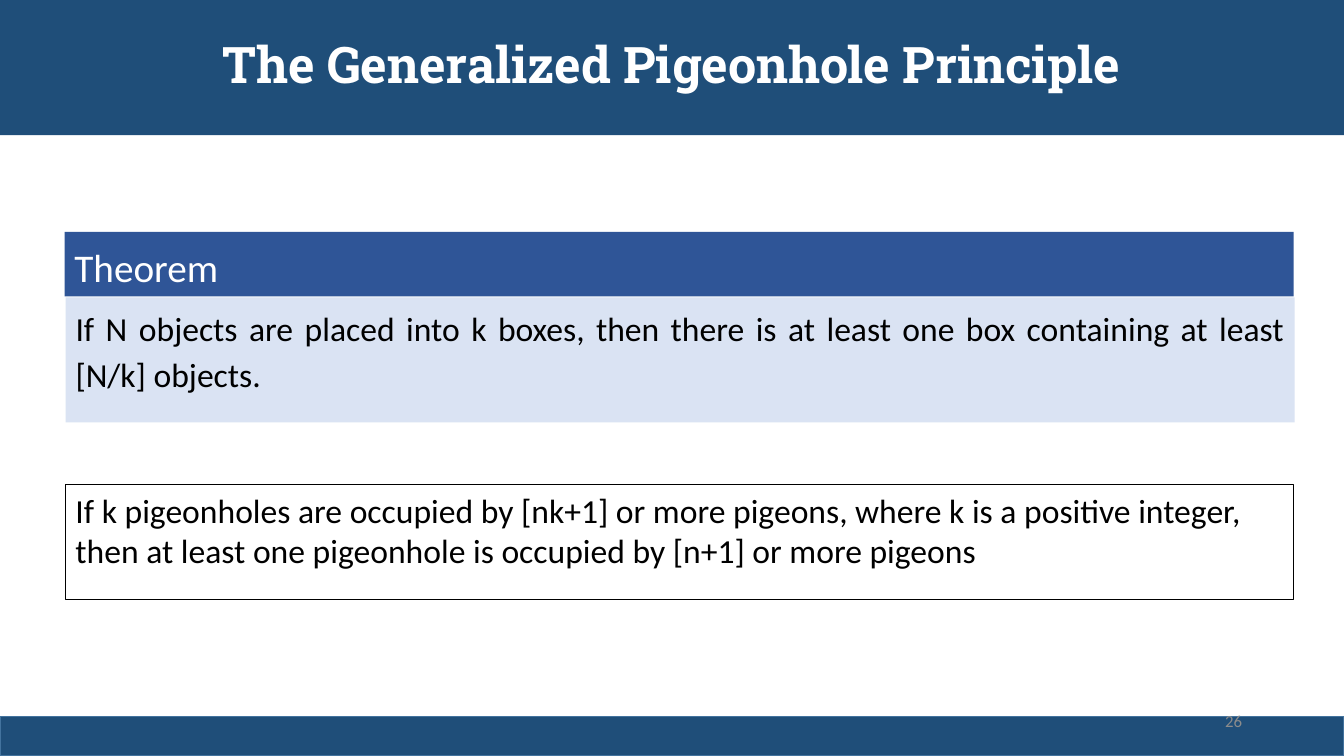
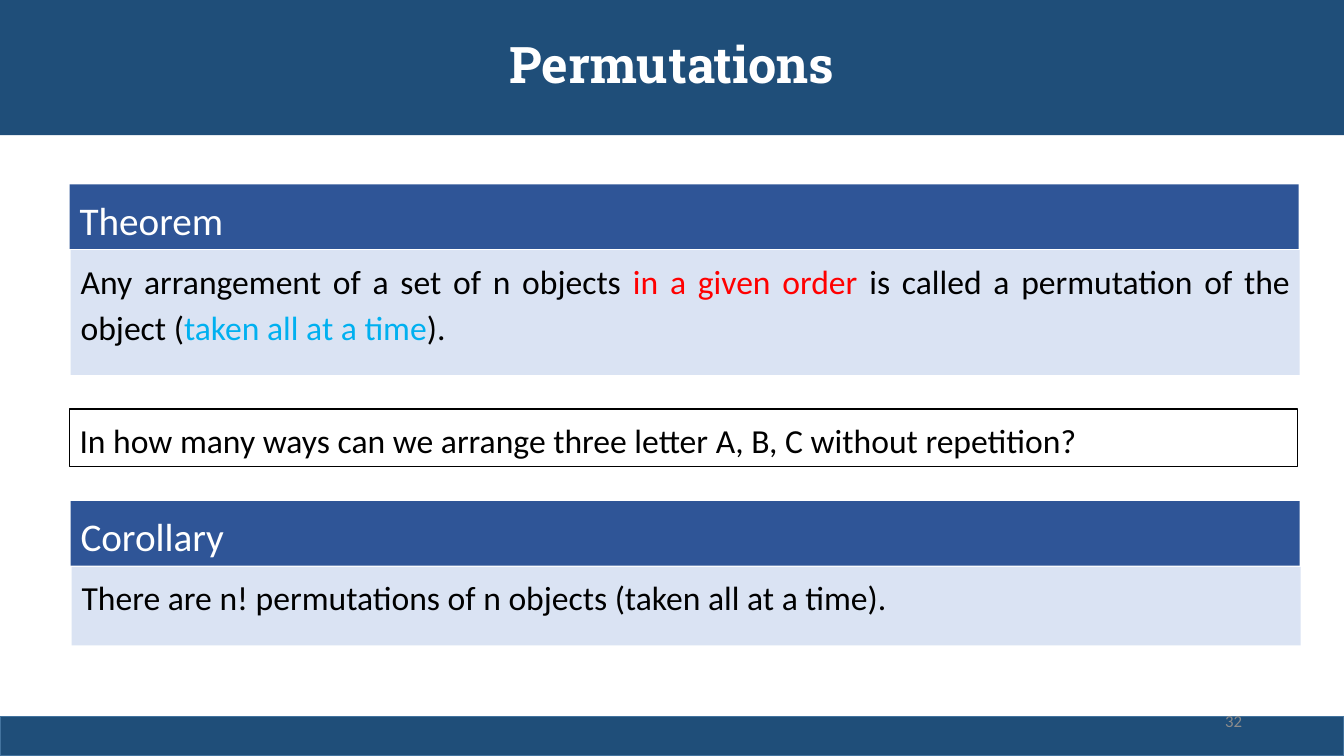
import pptx
import pptx.util
import pptx.dml.color
import pptx.enum.shapes
import pptx.enum.text

ALIGN = pptx.enum.text.PP_ALIGN
ANCHOR = pptx.enum.text.MSO_ANCHOR

# Shared look
NAVY, EDGE, BLUE, PALE = "1F4E79", "43739E", "2F5597", "DAE3F3"
WHITE, BLACK, GRAY, RED, SKY = "FFFFFF", "000000", "8C8C8C", "FF0000", "00B0F0"
HEAD = 8.53   # height of a heading bar, in percent of the slide height
STEP = 8.67   # from the top of a heading to the top of its body
WIDE = 91.45  # width of the content, in percent of the slide width

deck = pptx.Presentation()
deck.slide_width = pptx.util.Inches(13.33)
deck.slide_height = pptx.util.Inches(7.5)


def paint(color, tint):
    color.rgb = pptx.dml.color.RGBColor.from_string(tint)


def panel(slide, x, y, w, h, runs=(), size=24, fill=None, line=None,
          align=ALIGN.LEFT, anchor=ANCHOR.TOP, gap=1.0, font="Calibri", bold=False):
    """Add a rectangle; places are percent of the slide, runs are (text, colour)."""
    box = slide.shapes.add_shape(
        pptx.enum.shapes.MSO_SHAPE.RECTANGLE,
        int(deck.slide_width * x / 100), int(deck.slide_height * y / 100),
        int(deck.slide_width * w / 100), int(deck.slide_height * h / 100))
    box.shadow.inherit = False
    if fill:
        box.fill.solid()
        paint(box.fill.fore_color, fill)
    else:
        box.fill.background()
    if line:
        paint(box.line.color, line)
        box.line.width = pptx.util.Pt(1)
    else:
        box.line.fill.background()
    frame = box.text_frame
    frame.word_wrap = True
    frame.vertical_anchor = anchor
    para = frame.paragraphs[0]
    para.alignment = align
    para.line_spacing = gap
    for text, tint in runs:
        run = para.add_run()
        run.text = text
        run.font.size = pptx.util.Pt(size)
        run.font.name = font
        run.font.bold = bold
        paint(run.font.color, tint)


# Each block: heading (or None for a framed note), left, top, height, line gap, runs
pages = [
    ("The Generalized Pigeonhole Principle", "26", [
        ("Theorem", 4.8, 30.67, 16.53, 1.14, [
            ("If N objects are placed into k boxes, then there is at least one box "
             "containing at least [N/k] objects.", BLACK)]),
        (None, 4.88, 64.13, 15.2, 1.0, [
            ("If k pigeonholes are occupied by [nk+1] or more pigeons, where k is a "
             "positive integer, then at least one pigeonhole is occupied by [n+1] "
             "or more pigeons", BLACK)]),
    ]),
    ("Permutations", "32", [
        ("Theorem", 5.18, 24.4, 16.53, 1.14, [
            ("Any arrangement of a set of n objects ", BLACK),
            ("in a given order", RED),
            (" is called a permutation of the object (", BLACK),
            ("taken all at a time", SKY),
            (").", BLACK)]),
        (None, 5.18, 54.13, 7.6, 1.14, [
            ("In how many ways can we arrange three letter A, B, C without "
             "repetition?", BLACK)]),
        ("Corollary", 5.25, 66.3, 10.4, 1.14, [
            ("There are n! permutations of n objects (taken all at a time).", BLACK)]),
    ]),
]

for title, page, blocks in pages:
    slide = deck.slides.add_slide(deck.slide_layouts[6])

    # Title band, footer band and page number
    panel(slide, 0, 0, 100, 17.87, [(title, WHITE)], 36, NAVY, align=ALIGN.CENTER,
          anchor=ANCHOR.MIDDLE, gap=0.9, font="Roboto Slab", bold=True)
    panel(slide, 0, 94.8, 100, 5.2, fill=NAVY, line=EDGE)
    panel(slide, 70.67, 92.67, 22.5, 5.33, [(page, GRAY)], 12,
          align=ALIGN.RIGHT, anchor=ANCHOR.MIDDLE)

    # Headed statements and framed notes
    for head, left, top, tall, gap, runs in blocks:
        if head:
            panel(slide, left, top, WIDE, HEAD, [(head, WHITE)], 28, BLUE, gap=gap)
            panel(slide, left + 0.08, top + STEP, WIDE, tall, runs, fill=PALE,
                  align=ALIGN.JUSTIFY, gap=gap)
        else:
            panel(slide, left, top, WIDE - 0.08, tall, runs, fill=WHITE, line=BLACK,
                  gap=gap)

deck.save("out.pptx")
